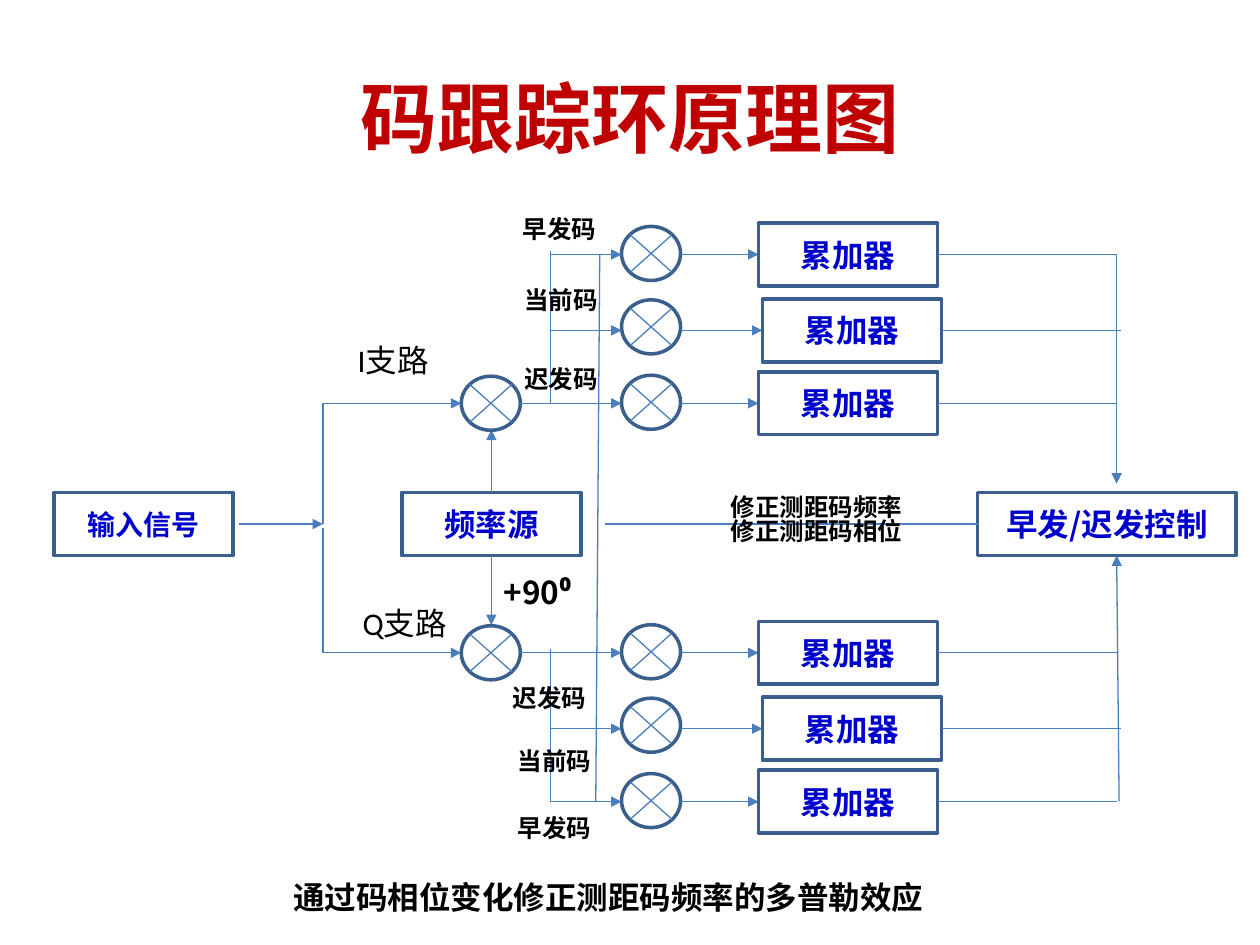
from lxml.etree import SubElement
from pptx import Presentation
from pptx.dml.color import RGBColor
from pptx.enum.shapes import MSO_CONNECTOR as CONN, MSO_SHAPE as SHAPE
from pptx.enum.text import MSO_ANCHOR as ANCHOR, PP_ALIGN as ALIGN
from pptx.oxml.ns import qn
from pptx.util import Cm, Pt

CJK = "Noto Sans CJK SC"
WIRE, EDGE, BLUE, RED, BLACK, WHITE = (
    "4B7EBC", "3A5F8C", "0000CC", "C00000", "000000", "FFFFFF")
BOX_W, BOX_H = 3.61, 1.27
MIX_W, MIX_H = 1.19, 1.09


def rgb(value):
    """Turn a hex string into a colour."""
    return RGBColor.from_string(value)


def write(tf, lines, size, color, bold=True, font=CJK, align=ALIGN.LEFT, spacing=None):
    """Fill a text frame, one paragraph for each line."""
    for i, line in enumerate(lines):
        p = tf.add_paragraph() if i else tf.paragraphs[0]
        p.alignment = align
        p.line_spacing = spacing
        r = p.add_run()
        r.text = line
        r.font.size, r.font.bold, r.font.name = Pt(size), bold, font
        r.font.color.rgb = rgb(color)
        if font == CJK:
            SubElement(r.font._element, qn("a:ea")).set("typeface", font)


def label(s, x, y, w, h, lines, size=14, color=BLACK, wrap=False, anchor=ANCHOR.TOP, **style):
    """Place free text."""
    tf = s.shapes.add_textbox(Cm(x), Cm(y), Cm(w), Cm(h)).text_frame
    tf.word_wrap = wrap
    tf.vertical_anchor = anchor
    write(tf, lines, size, color, **style)


def wire(s, x1, y1, x2, y2, arrow=False):
    """Draw a thin line, with an arrowhead at its end if asked."""
    cn = s.shapes.add_connector(CONN.STRAIGHT, Cm(x1), Cm(y1), Cm(x2), Cm(y2))
    cn.line.color.rgb = rgb(WIRE)
    cn.line.width = Pt(0.75)
    if arrow:
        SubElement(cn.line._get_or_add_ln(), qn("a:tailEnd")).set("type", "triangle")
    SubElement(cn._element.spPr, qn("a:effectLst"))


def outline(s, kind, x, y, w, h, fill=None):
    """Draw an outlined shape, hollow unless a fill is given."""
    sp = s.shapes.add_shape(kind, Cm(x), Cm(y), Cm(w), Cm(h))
    sp.shadow.inherit = False
    if fill:
        sp.fill.solid()
        sp.fill.fore_color.rgb = rgb(fill)
    else:
        sp.fill.background()
    sp.line.color.rgb = rgb(EDGE)
    sp.line.width = Pt(2)
    return sp


def block(s, x, y, text, w=BOX_W, size=18):
    """Draw a labelled box."""
    tf = outline(s, SHAPE.RECTANGLE, x, y, w, BOX_H).text_frame
    tf.vertical_anchor = ANCHOR.MIDDLE
    write(tf, [text], size, BLUE, align=ALIGN.CENTER)


def mixer(s, x, cy, fill=None):
    """Draw a crossed circle whose left edge is x and centre height is cy."""
    outline(s, SHAPE.OVAL, x, cy - MIX_H / 2, MIX_W, MIX_H, fill)
    for d in (0.38, -0.38):
        wire(s, x + 0.17, cy - d, x + MIX_W - 0.17, cy + d)


def branch(s, x, y, main_row, name, name_at, name_w, codes):
    """Draw one branch: entry mixer, three mixers and three accumulators."""
    mix_x, bus_x = x + 3.23, x + 1.8
    rows = [(0.64, 0.62, 5.99), (2.17, 2.1, 6.07), (3.64, 3.62, 5.99)]
    main_y = y + rows[main_row][0]
    wire(s, x - 2.79, main_y, x, main_y, True)
    mixer(s, x, main_y)
    wire(s, bus_x, y + 0.56, bus_x, y + 3.64)
    for i, (mid, mix_mid, acc_dx) in enumerate(rows):
        cy, acc_x = y + mid, x + acc_dx
        mixer(s, mix_x, y + mix_mid, WHITE)
        wire(s, x + MIX_W if i == main_row else bus_x, cy, mix_x, cy, True)
        wire(s, mix_x + MIX_W, cy, acc_x, cy, True)
        block(s, acc_x, cy - BOX_H / 2, "累加器")
        wire(s, acc_x + BOX_W, cy, acc_x + 2 * BOX_W, cy)
    dx, dy = name_at
    label(s, x + dx, y + dy, name_w, 0.91, [name], 18, wrap=True, bold=False, font="Calibri")
    for text, dx, dy in codes:
        label(s, x + dx, y + dy, 2.01, 0.76, [text], spacing=0.84)


def source(s, x, y):
    """Draw the input signal and the frequency source feeding both branches."""
    cy, split = y + BOX_H / 2, x + 5.42
    block(s, x, y, "输入信号", size=16)
    wire(s, x + 3.73, cy, split, cy, True)
    wire(s, split, cy, split, y - 1.8)
    wire(s, split, y + 3.23, split, y + 0.71)
    freq_x = x + 7.01
    mid = freq_x + BOX_W / 2
    block(s, freq_x, y, "频率源")
    wire(s, mid, y, mid, y - 1.27, True)
    wire(s, mid, y + BOX_H, mid, y + 2.67, True)
    label(s, mid, y + 1.63, 2.11, 0.91, ["+90⁰"], 18, spacing=0.84)


def control(s, x, y):
    """Draw the early/late control with its inputs and feedback line."""
    cy, mid = y + BOX_H / 2, x + 2.8
    block(s, x, y, "早发/迟发控制", w=5.21)
    wire(s, mid, y - 4.8, mid, y - 0.18, True)
    wire(s, mid + 0.05, y + 6.22, mid, y + BOX_H, True)
    wire(s, x, cy, x - 7.52, cy)
    wire(s, x - 7.7, y + 6.22, x - 7.62, y - 4.8)
    label(s, x - 5.23, y - 0.05, 4.01, 1.32, ["修正测距码频率", "修正测距码相位"], spacing=0.84)


def build():
    """Assemble the slide and save it."""
    prs = Presentation()
    prs.slide_width, prs.slide_height = Cm(25.4), Cm(19.05)
    s = prs.slides.add_slide(prs.slide_layouts[6])
    label(s, 1.27, 0.76, 22.86, 3.18, ["码跟踪环原理图"], 44, RED, wrap=True,
          anchor=ANCHOR.MIDDLE, align=ALIGN.CENTER)
    source(s, 1.09, 9.93)
    control(s, 19.71, 9.93)
    branch(s, 9.3, 4.49, 2, "I支路", (-2.34, 2.26), 1.96,
           [("早发码", 0.99, -0.2), ("当前码", 1.02, 1.22), ("迟发码", 1.02, 2.82)])
    branch(s, 9.3, 12.52, 0, "Q支路", (-2.24, -0.46), 2.24,
           [("迟发码", 0.79, 1.22), ("当前码", 0.89, 2.49), ("早发码", 0.89, 3.84)])
    label(s, 5.66, 17.7, 13.34, 1.02, ["通过码相位变化修正测距码频率的多普勒效应"], 18, spacing=0.84)
    prs.save("out.pptx")


build()
